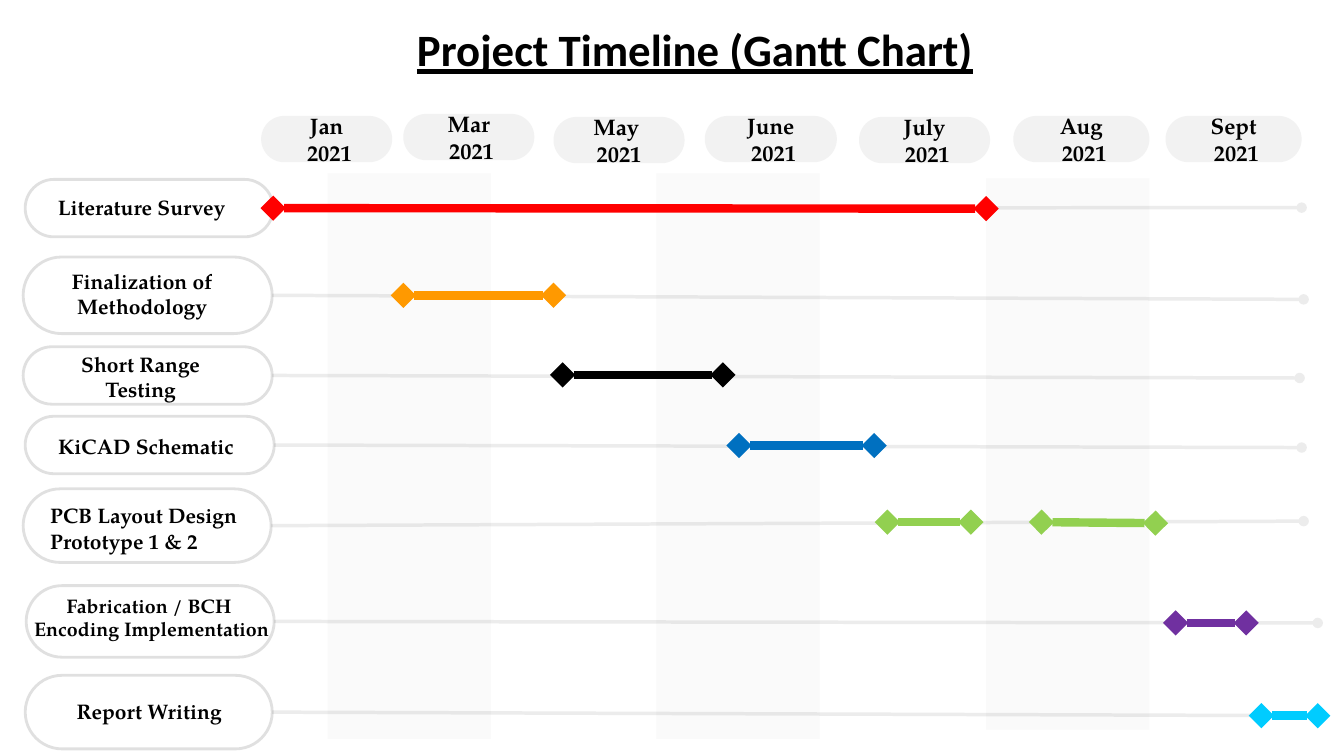
import pptx
import pptx.util
import pptx.dml.color
import pptx.enum.shapes
import pptx.enum.text
import pptx.oxml
import pptx.oxml.ns
from pptx.util import Inches

COLORS = {
    "ink": "000000", "panel": "F2F2F2", "outline": "808080", "red": "FF0000",
    "orange": "FF9900", "blue": "0070C0", "green": "92D050",
    "purple": "7030A0", "cyan": "00CCFF",
}
SERIF = "TeX Gyre Pagella"
SHAPES = pptx.enum.shapes.MSO_SHAPE
CENTER = pptx.enum.text.PP_ALIGN.CENTER
LEFT = pptx.enum.text.PP_ALIGN.LEFT

BANDS = [(3.25, 1.72, 1.62, 5.61), (6.51, 1.72, 1.62, 5.61), (9.78, 1.77, 1.62, 5.47)]
MONTHS = [
    (("Jan", " 2021"), (2.59, 1.15, 1.3, 0.46)),
    (("Mar", " 2021"), (4, 1.13, 1.3, 0.46)),
    (("May ", "2021"), (5.49, 1.16, 1.3, 0.46)),
    (("June", " 2021"), (6.99, 1.15, 1.31, 0.46)),
    (("July", " 2021"), (8.52, 1.16, 1.3, 0.46)),
    (("Aug", " 2021"), (10.05, 1.15, 1.35, 0.46)),
    (("Sept", " 2021"), (11.56, 1.15, 1.35, 0.46)),
]
# label lines, size, alignment, label box, pill box, track end, bar colour, bars
TASKS = [
    (["Literature Survey"], 15, CENTER, (0.39, 1.88, 2.03, 0.35),
     (0.25, 1.78, 2.46, 0.57), (12.91, 2.06), "red", [(2.71, 2.06, 9.78, 2.07)]),
    (["Finalization of Methodology"], 15, CENTER, (0.45, 2.61, 1.92, 0.61),
     (0.23, 2.55, 2.47, 0.76), (12.93, 2.97), "orange", [(4, 2.93, 5.49, 2.93)]),
    (["Short Range", " Testing "], 15, CENTER, (0.32, 3.44, 2.15, 0.61),
     (0.23, 3.44, 2.47, 0.57), (12.89, 3.75), "ink", [(5.58, 3.72, 7.17, 3.72)]),
    (["KiCAD Schematic "], 15, CENTER, (0.36, 4.25, 2.23, 0.35),
     (0.25, 4.13, 2.47, 0.57), (12.91, 4.44), "blue", [(7.33, 4.42, 8.67, 4.42)]),
    (["PCB Layout Design Prototype 1 & 2"], 15, LEFT, (0.4, 4.94, 2.27, 0.61),
     (0.23, 4.85, 2.46, 0.73), (12.93, 5.17), "green",
     [(8.8, 5.18, 9.63, 5.18), (10.33, 5.18, 11.46, 5.19)]),
    (["Fabrication / BCH", " Encoding Implementation"], 14, CENTER,
     (-0.06, 5.84, 3.08, 0.57), (0.26, 5.81, 2.46, 0.71), (13.07, 6.18),
     "purple", [(11.66, 6.18, 12.36, 6.18)]),
    (["Report Writing"], 15, CENTER, (0.49, 6.88, 1.98, 0.35),
     (0.25, 6.7, 2.45, 0.73), (13.07, 7.1), "cyan", [(12.51, 7.1, 13.07, 7.1)]),
]


def rgb(name):
    return pptx.dml.color.RGBColor.from_string(COLORS[name])


def set_opacity(fill, percent):
    """Add an alpha value to a solid fill's colour."""
    color = fill._xPr.find(".//" + pptx.oxml.ns.qn("a:srgbClr"))
    alpha = color.makeelement(pptx.oxml.ns.qn("a:alpha"), {"val": str(percent * 1000)})
    color.append(alpha)


def add_panel(slide, kind, box, filled=True):
    shape = slide.shapes.add_shape(kind, *map(Inches, box))
    shape.shadow.inherit = False
    if kind == SHAPES.ROUNDED_RECTANGLE:
        shape.adjustments[0] = 0.5
    if filled:
        shape.fill.solid()
        shape.fill.fore_color.rgb = rgb("panel")
        shape.line.fill.background()
    else:
        shape.fill.background()
        shape.line.width = pptx.util.Pt(2)
        shape.line.color.rgb = rgb("outline")
        set_opacity(shape.line.fill, 24)
    return shape


def write_lines(frame, lines, size, font=SERIF, alignment=CENTER, underline=False):
    frame.word_wrap = True
    for index, line in enumerate(lines):
        paragraph = frame.paragraphs[0] if index == 0 else frame.add_paragraph()
        paragraph.alignment = alignment
        run = paragraph.add_run()
        run.text = line
        run.font.name = font
        run.font.size = pptx.util.Pt(size)
        run.font.bold = True
        if underline:
            run.font.underline = True
        run.font.color.rgb = rgb("ink")


def add_text(slide, box, lines, size, **style):
    frame = slide.shapes.add_textbox(*map(Inches, box)).text_frame
    write_lines(frame, lines, size, **style)
    frame.auto_size = pptx.enum.text.MSO_AUTO_SIZE.SHAPE_TO_FIT_TEXT


def add_line(slide, ends, color, width, head=None, tail=None):
    line = slide.shapes.add_connector(
        pptx.enum.shapes.MSO_CONNECTOR.STRAIGHT, *map(Inches, ends))
    line.line.color.rgb = rgb(color)
    line.line.width = pptx.util.Pt(width)
    outline = line.line._get_or_add_ln()
    for tag, arrow in (("a:headEnd", head), ("a:tailEnd", tail)):
        if arrow:
            outline.append(outline.makeelement(pptx.oxml.ns.qn(tag), {"type": arrow}))
    properties = line._element.spPr
    properties.append(properties.makeelement(pptx.oxml.ns.qn("a:effectLst"), {}))
    return line


def add_band(slide, box):
    set_opacity(add_panel(slide, SHAPES.RECTANGLE, box).fill, 36)


def add_month(slide, lines, box):
    shape = add_panel(slide, SHAPES.ROUNDED_RECTANGLE, box)
    shape.text_frame.vertical_anchor = pptx.enum.text.MSO_ANCHOR.MIDDLE
    write_lines(shape.text_frame, lines, 16)


def add_task(slide, lines, size, alignment, label_box, pill_box, track_end, color, bars):
    """Draw one row: outlined label, faint track and its coloured bars."""
    left, top, width, height = pill_box
    right, middle = left + width, top + height / 2
    pill = add_panel(slide, SHAPES.ROUNDED_RECTANGLE, pill_box, filled=False)
    track = add_line(slide, (right, middle, *track_end), "outline", 2.5, tail="oval")
    set_opacity(track.line.fill, 14)
    track.begin_connect(pill, 3)
    add_text(slide, label_box, lines, size, alignment=alignment)
    for ends in bars:
        bar = add_line(slide, ends, color, 6, head="diamond", tail="diamond")
        if abs(ends[0] - right) < 0.01:
            bar.begin_connect(pill, 3)


def main():
    presentation = pptx.Presentation()
    presentation.slide_width = Inches(13.33)
    presentation.slide_height = Inches(7.5)
    slide = presentation.slides.add_slide(presentation.slide_layouts[6])
    for box in BANDS:
        add_band(slide, box)
    add_text(slide, (0.23, 0.17, 13.33, 0.64), ["Project Timeline (Gantt Chart)"],
             32, font="Calibri", underline=True)
    for lines, box in MONTHS:
        add_month(slide, lines, box)
    for task in TASKS:
        add_task(slide, *task)
    presentation.save("out.pptx")


if __name__ == "__main__":
    main()
